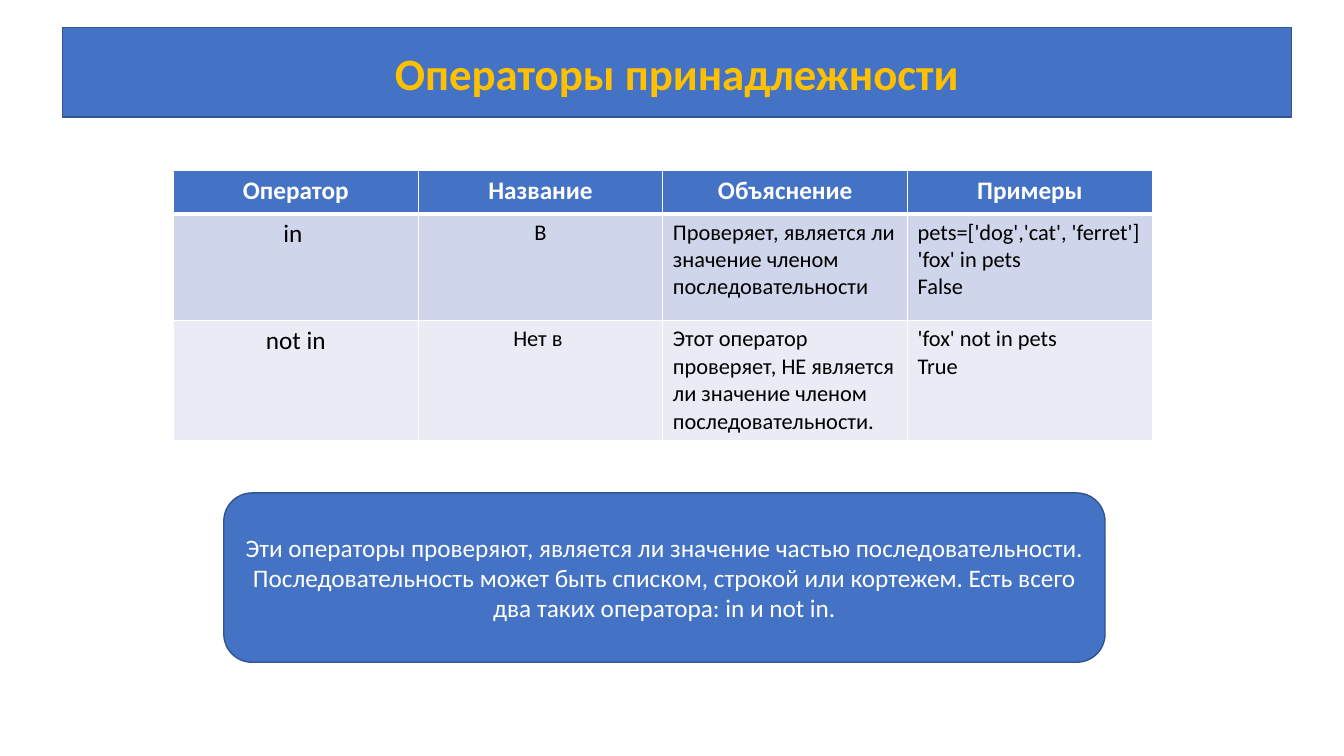
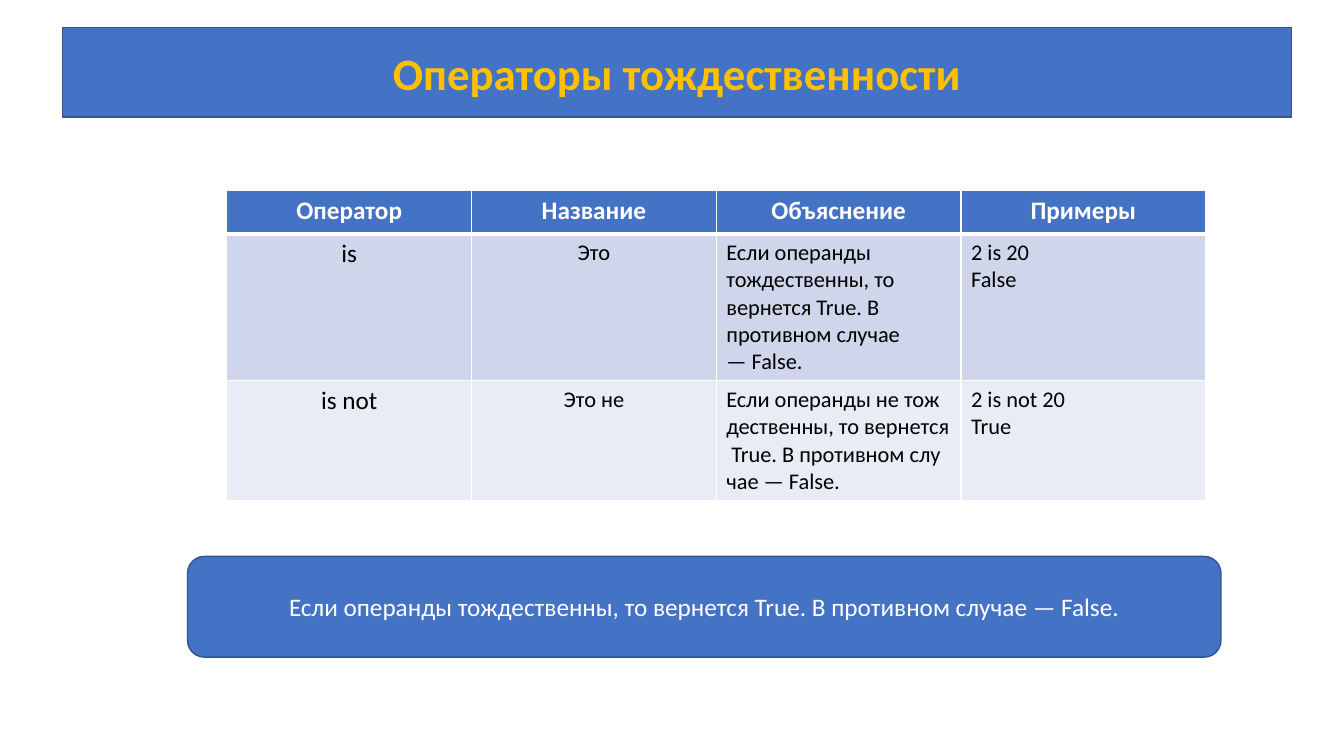
from lxml import etree
from pptx import Presentation
from pptx.dml.color import RGBColor
from pptx.enum.shapes import MSO_SHAPE
from pptx.enum.text import MSO_ANCHOR, PP_ALIGN
from pptx.oxml.ns import qn
from pptx.util import Inches, Pt

RECT, ROUND_RECT = MSO_SHAPE.RECTANGLE, MSO_SHAPE.ROUNDED_RECTANGLE
LEFT, CENTER = PP_ALIGN.LEFT, PP_ALIGN.CENTER
MIDDLE = MSO_ANCHOR.MIDDLE

FONT = "Calibri"
BLUE, DARK_BLUE, AMBER = "4472C4", "325491", "FFC000"
WHITE, BLACK = "FFFFFF", "000000"
BANDS = ("CFD5EA", "E9EBF5")

TITLE_BOX = (0.62, 0.27, 12.19, 0.89)
HEADERS = ("Оператор", "Название", "Объяснение", "Примеры")
TABLE_WIDTH = 9.71
ROW_HEIGHTS = (0.43, 1.06, 0.67)

# In the texts "_" stands for a no-break space.
NO_BREAK_SPACE = chr(160)

SLIDES = [
    {
        "title": "Операторы принадлежности",
        "table_at": (1.72, 1.69),
        "rows": [
            ("in_", "В",
             "Проверяет, является ли значение членом последовательности",
             "pets=['dog','cat',_'ferret']\n'fox' in pets\nFalse"),
            ("not in", "Нет в_",
             "Этот оператор проверяет, НЕ является ли значение членом "
             "последовательности.",
             "'fox' not in pets\nTrue"),
        ],
        "note_box": (2.22, 4.89, 8.74, 1.68),
        "note": "Эти операторы проверяют, является ли значение частью "
                "последовательности. Последовательность может быть списком, "
                "строкой или кортежем. Есть всего два таких "
                "оператора:_in_и_not in.",
    },
    {
        "title": "Операторы тождественности",
        "table_at": (2.25, 1.89),
        "rows": [
            ("is", "Это",
             "Если операнды тождественны, то вернется_True. "
             "В противном случае —_False.",
             "2 is 20\nFalse"),
            ("is not", "Это не",
             "Если_операнды_не_тождественны,_то_вернется_True._"
             "В_противном_случае_—_False.",
             "2 is not 20\nTrue"),
        ],
        "note_box": (1.86, 5.52, 10.25, 1),
        "note": "Если операнды тождественны, то вернется_True. "
                "В противном случае —_False.",
    },
]


def rgb(color):
    return RGBColor.from_string(color)


def line_element(tag, color, width):
    ln = etree.Element(qn(tag), w=str(Pt(width)))
    fill = etree.SubElement(ln, qn("a:solidFill"))
    etree.SubElement(fill, qn("a:srgbClr"), val=color)
    return ln


def write(tf, text, size, color, align=CENTER, bold=False):
    """Fill a text frame, one paragraph per line, and return the runs."""
    runs = []
    for i, line in enumerate(text.replace("_", NO_BREAK_SPACE).split("\n")):
        p = tf.add_paragraph() if i else tf.paragraphs[0]
        p.alignment = align
        r = p.add_run()
        r.text = line
        r.font.name, r.font.size, r.font.bold = FONT, Pt(size), bold
        r.font.color.rgb = rgb(color)
        runs.append(r)
    return runs


def add_panel(slide, box, shape_type, text, size, color, bold=False):
    sp = slide.shapes.add_shape(shape_type, *map(Inches, box))
    sp.shadow.inherit = False
    sp.fill.solid()
    sp.fill.fore_color.rgb = rgb(BLUE)
    sp.line.color.rgb = rgb(DARK_BLUE)
    sp.line.width = Pt(1)
    tf = sp.text_frame
    tf.word_wrap = True
    tf.vertical_anchor = MIDDLE
    return write(tf, text, size, color, bold=bold)


def add_title(slide, text):
    for r in add_panel(slide, TITLE_BOX, RECT, text, 32, AMBER, bold=True):
        r.font._element.insert(0, line_element("a:ln", AMBER, 1))


def style_cell(cell, fill, top, bottom):
    """Set the fill and white borders; top and bottom are widths in points."""
    cell.fill.solid()
    cell.fill.fore_color.rgb = rgb(fill)
    tc_pr = cell._tc.get_or_add_tcPr()
    widths = (("a:lnL", 1), ("a:lnR", 1), ("a:lnT", top), ("a:lnB", bottom))
    for i, (tag, width) in enumerate(widths):
        tc_pr.insert(i, line_element(tag, WHITE, width))


def add_operator_table(slide, at, rows):
    size = (TABLE_WIDTH, sum(ROW_HEIGHTS))
    frame = slide.shapes.add_table(len(rows) + 1, len(HEADERS),
                                   *map(Inches, (*at, *size)))
    table = frame.table
    for column in table.columns:
        column.width = Inches(TABLE_WIDTH / len(HEADERS))
    for row, height in zip(table.rows, ROW_HEIGHTS):
        row.height = Inches(height)
    for c, text in enumerate(HEADERS):
        cell = table.cell(0, c)
        style_cell(cell, BLUE, 1, 3)
        write(cell.text_frame, text, 18, WHITE, bold=True)
    for i, texts in enumerate(rows):
        for c, text in enumerate(texts):
            cell = table.cell(i + 1, c)
            style_cell(cell, BANDS[i % 2], 1 if i else 3, 1)
            write(cell.text_frame, text, 16 if c else 18, BLACK,
                  CENTER if c < 2 else LEFT)


def add_operator_slide(prs, content):
    slide = prs.slides.add_slide(prs.slide_layouts[6])
    add_title(slide, content["title"])
    add_operator_table(slide, content["table_at"], content["rows"])
    add_panel(slide, content["note_box"], ROUND_RECT, content["note"], 18, WHITE)


def main():
    prs = Presentation()
    prs.slide_width, prs.slide_height = Inches(13.33), Inches(7.5)
    for content in SLIDES:
        add_operator_slide(prs, content)
    prs.save("out.pptx")


if __name__ == "__main__":
    main()
